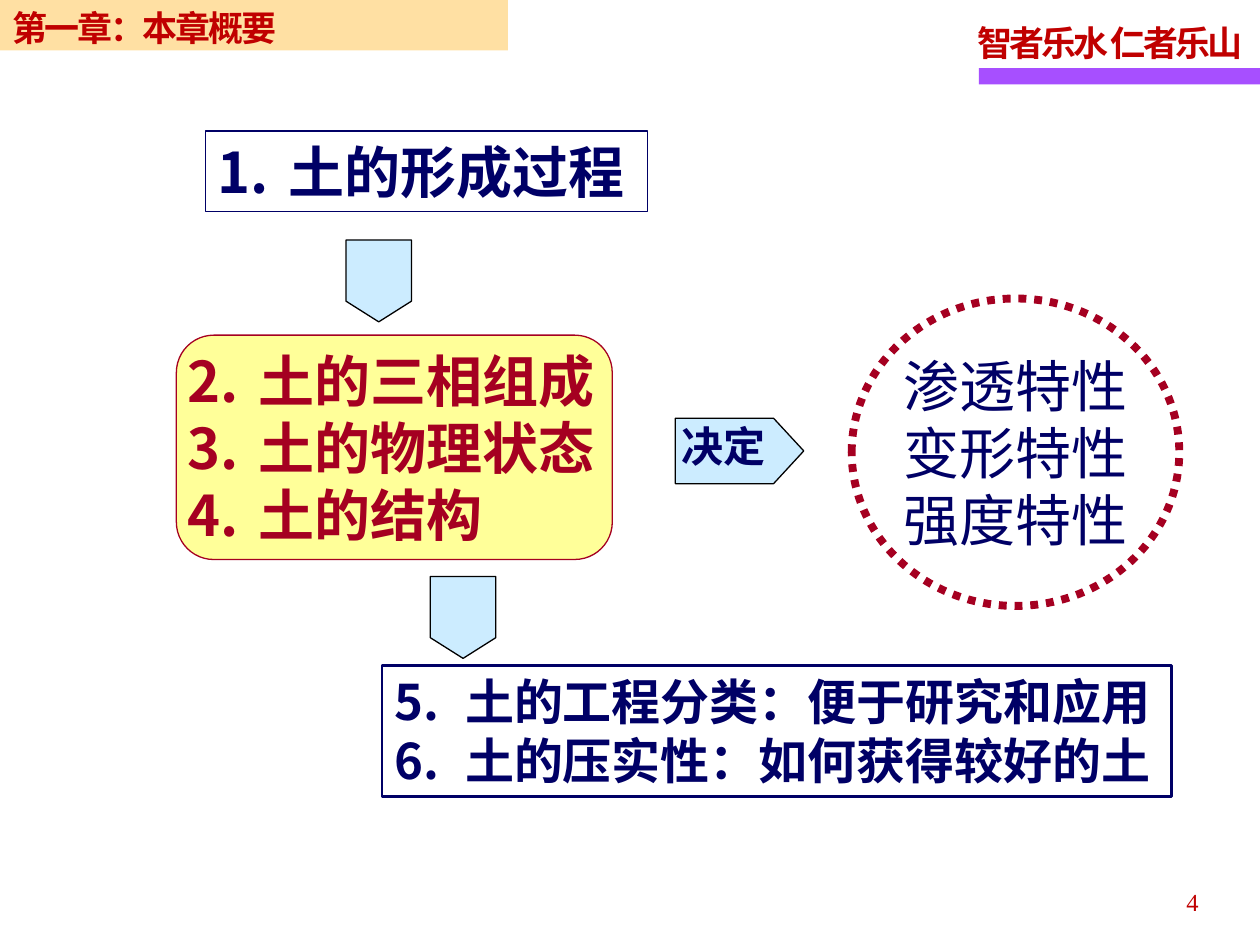
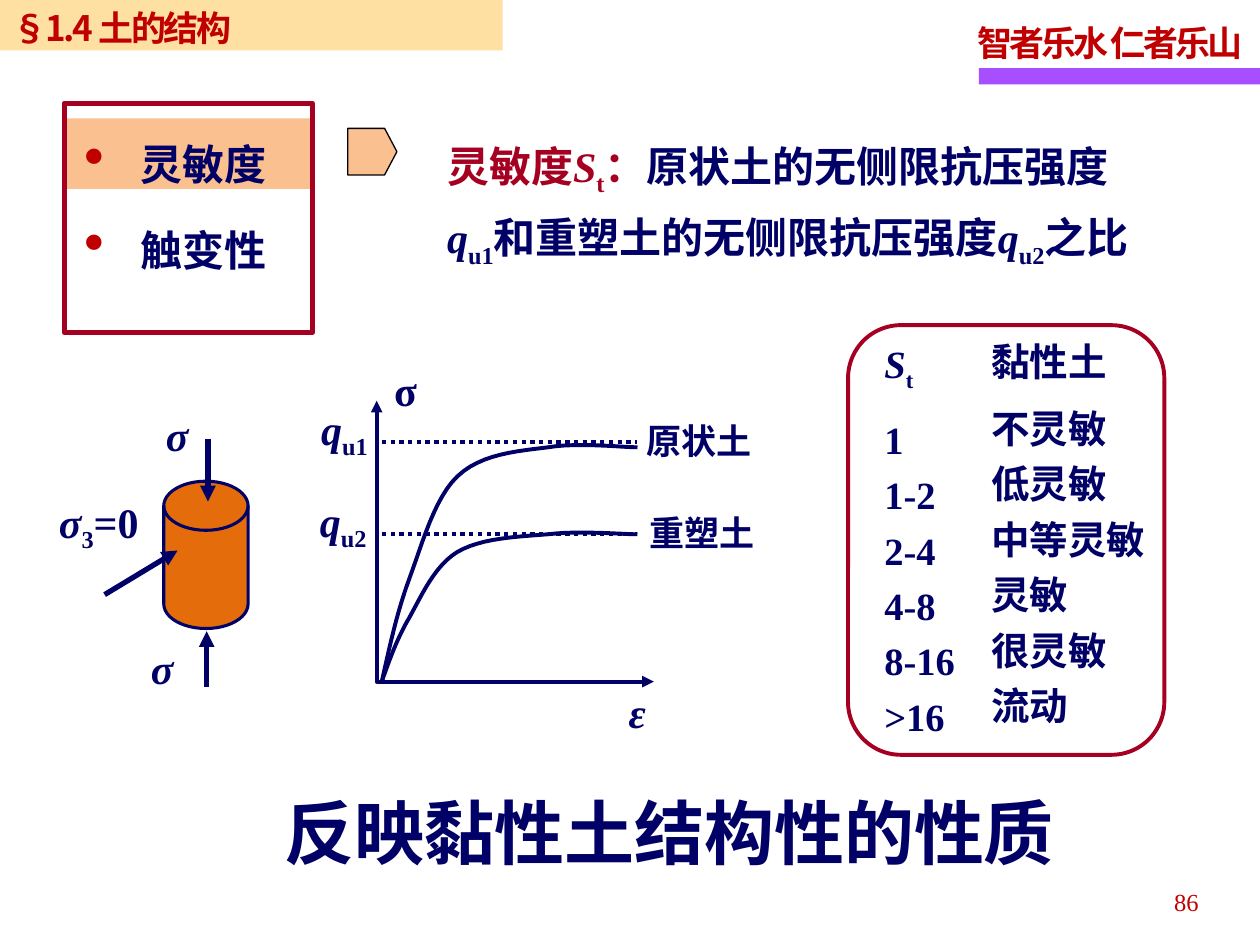
from lxml import etree
from pptx import Presentation
from pptx.dml.color import RGBColor
from pptx.enum import dml, shapes, text
from pptx.oxml.ns import qn
from pptx.util import Pt

NAVY, CRIMSON, RED = "000066", "A50021", "C00000"
PURPLE, GOLD, YELLOW = "A74FFF", "FFCC66", "FFFF99"
SKY, PEACH, ORANGE, BLACK = "CCECFF", "FAC090", "E46C0A", "000000"
ROMAN, HEITI = "Times New Roman", "Noto Sans CJK SC"
SHAPE, DOTTED = shapes.MSO_SHAPE, dml.MSO_LINE.ROUND_DOT
CENTER, RIGHT = text.PP_ALIGN.CENTER, text.PP_ALIGN.RIGHT

MOTTO = "智者乐水 仁者乐山"

# Slide 1
FORMATION = ["土的形成过程"]
STATE = ["土的三相组成", "土的物理状态", "土的结构"]
USES = ["土的工程分类：便于研究和应用", "土的压实性：如何获得较好的土"]
PROPERTIES = ["渗透特性", "变形特性", "强度特性"]
DOWN_ARROWS = [(193, 141.8), (241.2, 334.1)]

# Slide 2: a paragraph is a string or a list of (words, marks, colour)
TOPICS = ["灵敏度", "触变性"]
DEFINITION = [("灵敏度", "", CRIMSON), ("S", "i", CRIMSON), ("t", "sub", CRIMSON),
              ("：", "", CRIMSON), ("原状土的无侧限抗压强度", ""), ("q", "i"), ("u1", "sub"),
              ("和重塑土的无侧限抗压强度", ""), ("q", "i"), ("u2", "sub"), ("之比", "")]
RATIOS = [[("S", "i"), ("t", "sub")], "1", "1-2", "2-4", "4-8", "8-16", ">16"]
GRADES = ["黏性土", "不灵敏", "低灵敏", "中等灵敏", "灵敏", "很灵敏", "流动"]
SIGMA = [("σ", "i")]
SYMBOLS = [
    ((87.8, 230.4, 28.8, 36), SIGMA),
    ((79.2, 363.6, 28.8, 36), SIGMA),
    ((26.6, 280.1, 62.6, 36), [("σ", "i"), ("3", "sub"), ("=0", "")]),
    ((218.2, 204.5, 28.8, 36), "σ"),
    ((352.1, 388.8, 25.2, 36.7), [("ε", "i")]),
    ((176.4, 226.8, 45.4, 36.7), [("q", "i"), ("u1", "sub")]),
    ((175.7, 279.4, 45.4, 36.7), [("q", "i"), ("u2", "sub")]),
]
CURVE_NAMES = [((362.2, 236.2, 74.9, 31), "原状土"), ((364.3, 288.7, 74.9, 31), "重塑土")]
STRESSES = [((59.8, 339.8), (101.5, 314.6)), ((118.8, 250.6), (118.8, 286.6)),
            ((118.1, 392.4), (118.1, 360.7))]
AXES = [(215.3, 229), (215.3, 389.5), (373.7, 389.5)]
ORIGIN, CURVE_END = (218.2, 389.5), 364.3
STRENGTHS = [252.7, 305.3]
CURVES = [
    [(222.5, 377.3), (226.8, 365), (234, 352.8), (241.2, 339.8), (248.4, 323.3),
     (261.4, 315.4), (275, 307.4), (295.9, 306.7), (313.2, 305.3), (330.5, 303.1),
     (355.7, 305.3), (364.3, 305.3)],
    [(222.5, 370.1), (226.8, 349.9), (234, 330.5), (241.2, 311), (248.4, 284.4),
     (261.4, 272.2), (275, 259.2), (295.9, 257.8), (313.2, 255.6), (330.5, 252.7),
     (355.7, 255.6), (364.3, 255.6)],
]


def rgb(hex_color):
    return RGBColor.from_string(hex_color)


def pts(values):
    return [Pt(v) for v in values]


def add_xml(parent, tag, **attributes):
    return etree.SubElement(parent, qn(tag), attributes)


def style_line(line, color, width, dash=None, arrows=()):
    line.color.rgb = rgb(color)
    line.width = Pt(width)
    if dash:
        line.dash_style = dash
    for end in arrows:
        add_xml(line.color._xFill.getparent(), f"a:{end}", type="triangle")


def style_shape(shape, fill=None, line=None, dash=None, arrows=()):
    shape.shadow.inherit = False
    if fill:
        shape.fill.solid()
        shape.fill.fore_color.rgb = rgb(fill)
    else:
        shape.fill.background()
    if line:
        style_line(shape.line, *line, dash, arrows)
    else:
        shape.line.fill.background()
    return shape


def add_block(slide, kind, box, fill=None, line=None, adjust=None, dash=None):
    block = slide.shapes.add_shape(kind, *pts(box))
    if adjust is not None:
        block.adjustments[0] = adjust
    return style_shape(block, fill, line, dash)


def add_line(slide, start, end, width, dash=None, arrows=()):
    line = slide.shapes.add_connector(shapes.MSO_CONNECTOR.STRAIGHT, *pts(start + end))
    style_line(line.line, NAVY, width, dash, arrows)
    add_xml(line._element.spPr, "a:effectLst")


def add_path(slide, points, arrows=()):
    """Draw an open outline through the points."""
    corners = [tuple(pts(point)) for point in points]
    builder = slide.shapes.build_freeform(*corners[0])
    builder.add_line_segments(corners[1:], close=False)
    style_shape(builder.convert_to_shape(), None, (NAVY, 2.25), None, arrows)


def smooth(start, controls, steps=12):
    """Sample a chain of cubic curves given by three points each."""
    points = [start]
    for n in range(0, len(controls), 3):
        a, (b, c, d) = points[-1], controls[n:n + 3]
        for step in range(1, steps + 1):
            t = step / steps
            s = 1 - t
            points.append(tuple(s**3 * a[k] + 3 * s * s * t * b[k] + 3 * s * t * t * c[k]
                                + t**3 * d[k] for k in (0, 1)))
    return points


def add_bullet(p_pr, hang, start):
    """Number from start, or use a red dot when start is None."""
    p_pr.set("marL", str(Pt(hang)))
    p_pr.set("indent", str(-Pt(hang)))
    if start is None:
        add_xml(add_xml(p_pr, "a:buClr"), "a:srgbClr", val=RED)
        add_xml(p_pr, "a:buSzPct", val="140000")
        add_xml(p_pr, "a:buChar", char="•")
    else:
        add_xml(p_pr, "a:buFont", typeface=HEITI)
        add_xml(p_pr, "a:buAutoNum", type="arabicPeriod", startAt=str(start))


def write(shape, paragraphs, size, color=NAVY, font=ROMAN, bold=True, align=None,
          spacing=None, before=(), after=(), tracking=None, hang=None, start=None,
          wrap=True, inset=(7.2, 3.6), middle=False):
    """Fill a shape with text; before and after give the gap of each paragraph."""
    frame = shape.text_frame
    frame.word_wrap = wrap
    if not wrap:
        frame.auto_size = text.MSO_AUTO_SIZE.SHAPE_TO_FIT_TEXT
    frame.vertical_anchor = text.MSO_ANCHOR.MIDDLE if middle else text.MSO_ANCHOR.TOP
    frame.margin_left = frame.margin_right = Pt(inset[0])
    frame.margin_top = frame.margin_bottom = Pt(inset[1])
    for n, content in enumerate(paragraphs):
        para = frame.add_paragraph() if n else frame.paragraphs[0]
        para.alignment = align or text.PP_ALIGN.LEFT
        p_pr = para._p.get_or_add_pPr()
        if hang:
            add_bullet(p_pr, hang, start)
        if spacing:
            para.line_spacing = spacing
        if n < len(before) and before[n]:
            para.space_before = Pt(before[n])
        if n < len(after) and after[n]:
            para.space_after = Pt(after[n])
        para.font.size, para.font.bold, para.font.name = Pt(size), bold, font
        para.font.color.rgb = rgb(color)
        defaults = p_pr.find(qn("a:defRPr"))
        add_xml(defaults, "a:ea", typeface=HEITI)
        if tracking:
            defaults.set("spc", str(round(tracking * 100)))
        for words, marks, *tint in [(content, "")] if isinstance(content, str) else content:
            run = para.add_run()
            run.text = words
            if marks == "i":
                run.font.italic = True
            elif marks == "sub":
                run._r.get_or_add_rPr().set("baseline", "-25000")
            if tint:
                run.font.color.rgb = rgb(tint[0])


def add_text(slide, box, paragraphs, size, **style):
    write(slide.shapes.add_textbox(*pts(box)), paragraphs, size, **style)


def new_slide(deck, number):
    slide = deck.slides.add_slide(deck.slide_layouts[6])
    add_block(slide, SHAPE.RECTANGLE, (559.4, 38.9, 160.6, 9.4), PURPLE)
    add_text(slide, (551.5, 5, 170, 35.3), [MOTTO], 20, color=RED, spacing=1.15,
             tracking=-1.7, wrap=False)
    add_text(slide, (524.2, 501.1, 167.8, 28.8), [number], 14, color=RED, bold=False,
             align=RIGHT, spacing=1.15)
    return slide


def add_heading(slide, title, width):
    band = add_block(slide, SHAPE.RECTANGLE, (0, 0, width, 28.8), GOLD)
    tint = band._element.spPr.find(".//" + qn("a:srgbClr"))
    add_xml(tint, "a:alpha", val="60000")
    write(band, [title], 20, color=RED, font=HEITI, tracking=-1.4)


def build_overview(deck):
    slide = new_slide(deck, "4")
    thin = (BLACK, 0.75)
    circle = add_block(slide, SHAPE.OVAL, (486.7, 170.6, 187.2, 175.7),
                       line=(CRIMSON, 4.5), dash=DOTTED)
    write(circle, PROPERTIES, 32, font=HEITI, bold=False, align=CENTER, wrap=True,
          inset=(0, 0), middle=True)
    state = add_block(slide, SHAPE.ROUNDED_RECTANGLE, (100.8, 191.5, 249.1, 128.2),
                      YELLOW, (CRIMSON, 0.75), 0.167)
    write(state, STATE, 32, color=CRIMSON, font=HEITI, hang=40.5, start=2, inset=(0, 0))
    for left, top in DOWN_ARROWS:
        add_block(slide, SHAPE.PENTAGON, (left, top, 46.8, 37.4), SKY, thin, 0.316).rotation = 90
    formation = add_block(slide, SHAPE.RECTANGLE, (117.4, 74.9, 252.7, 46.1), line=(NAVY, 0.75))
    write(formation, FORMATION, 32, hang=40.5, start=1)
    uses = add_block(slide, SHAPE.RECTANGLE, (218.2, 380.2, 451.4, 74.9), line=(NAVY, 1.5))
    write(uses, USES, 28, hang=40.5, start=5)
    add_block(slide, SHAPE.PENTAGON, (385.9, 239, 73.4, 37.4), SKY, thin, 0.461)
    add_text(slide, (382.3, 236.9, 67, 36), ["决定"], 24)
    add_heading(slide, "第一章：本章概要", 290.2)


def build_sensitivity(deck):
    slide = new_slide(deck, "86")
    add_block(slide, SHAPE.RECTANGLE, (36.7, 67.7, 141.8, 40.3), PEACH)
    add_text(slide, (162.7, 447.8, 481.7, 55.4), ["反映黏性土结构性的性质"], 40, inset=(0, 3.6))
    add_text(slide, (41, 62.6, 127.4, 99.4), TOPICS, 24, font=HEITI, spacing=1.45,
             before=(0, 3.6), after=(3.6, 3.6), hang=32.5)
    add_block(slide, SHAPE.PENTAGON, (198.7, 73.4, 28.1, 26.6), PEACH, (BLACK, 0.75), 0.264)

    add_block(slide, SHAPE.ROUNDED_RECTANGLE, (484.6, 185.8, 180.7, 245.5),
              line=(CRIMSON, 2.25), adjust=0.167)
    add_text(slide, (505.4, 188.6, 48.2, 233.3), RATIOS, 22, spacing=1.2, before=(0, 7.7),
             inset=(0, 0))
    add_text(slide, (566.6, 187.9, 95.8, 231.8), GRADES, 22, font=HEITI, spacing=1.2,
             after=(6.6,), inset=(0, 0))

    add_block(slide, SHAPE.FLOWCHART_MAGNETIC_DISK, (93.6, 275, 48.2, 84.2), ORANGE,
              (NAVY, 1.75))
    for start, end in STRESSES:
        add_line(slide, start, end, 3, arrows=["tailEnd"])
    for curve in CURVES:
        add_path(slide, smooth(ORIGIN, curve))
    for level in STRENGTHS:
        add_line(slide, (ORIGIN[0], level), (CURVE_END, level), 2.5, DOTTED)
    add_path(slide, AXES, ["headEnd", "tailEnd"])
    for box, symbol in SYMBOLS:
        add_text(slide, box, [symbol], 24, wrap=False)
    for box, name in CURVE_NAMES:
        add_text(slide, box, [name], 20, wrap=False)

    add_text(slide, (248.4, 68.4, 415.4, 79.9), [DEFINITION], 24, spacing=1.25)
    add_block(slide, SHAPE.RECTANGLE, (36.7, 59, 141.8, 131), line=(CRIMSON, 3))
    add_heading(slide, "§1.4 土的结构", 287.3)


def main():
    deck = Presentation()
    deck.slide_width, deck.slide_height = Pt(720), Pt(540)
    build_overview(deck)
    build_sensitivity(deck)
    deck.save("out.pptx")


if __name__ == "__main__":
    main()
